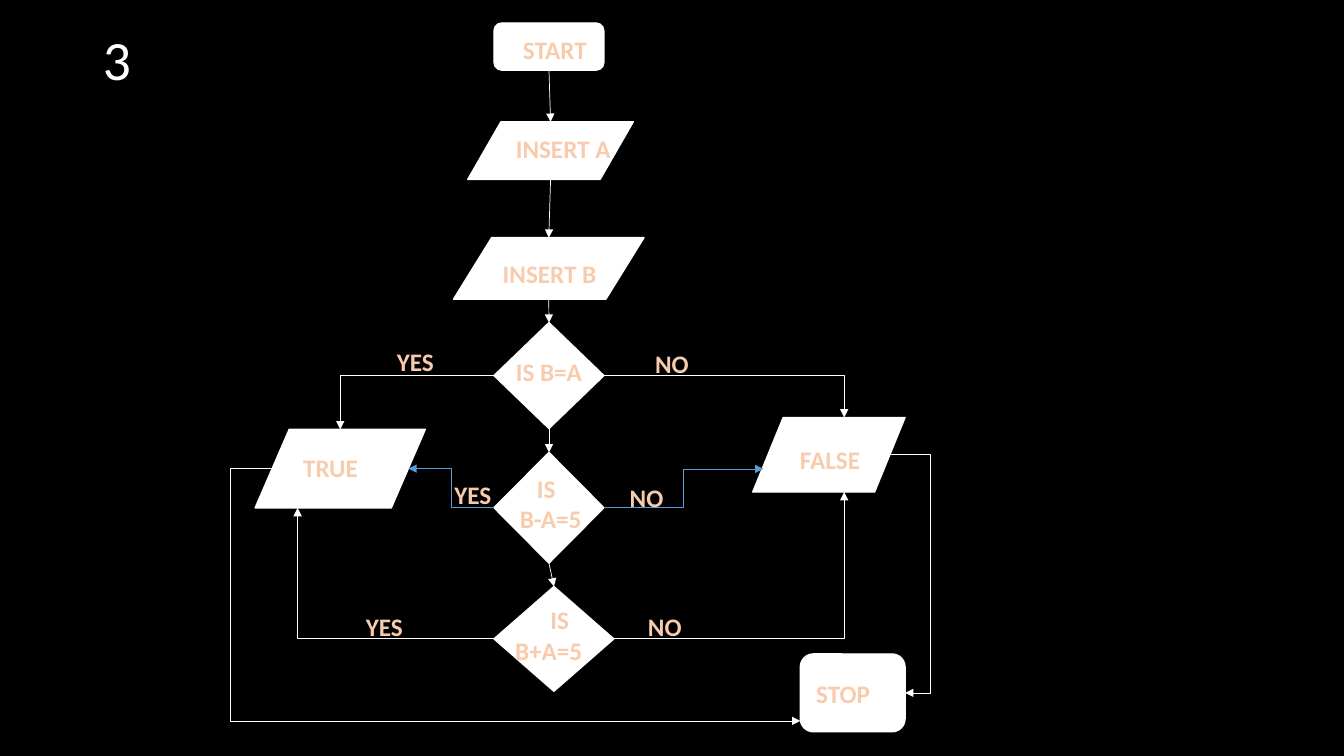
import pptx
import pptx.util
import pptx.dml.color
import pptx.enum.shapes
import pptx.enum.text
import pptx.oxml
import pptx.oxml.ns

Cm, Pt = pptx.util.Cm, pptx.util.Pt
RGBColor = pptx.dml.color.RGBColor
Shape = pptx.enum.shapes.MSO_SHAPE
Connector = pptx.enum.shapes.MSO_CONNECTOR
qn = pptx.oxml.ns.qn

BLACK = RGBColor(0x00, 0x00, 0x00)
WHITE = RGBColor(0xFF, 0xFF, 0xFF)
PEACH = RGBColor(0xF8, 0xCB, 0xAD)
ORANGE = RGBColor(0xED, 0x7D, 0x31)
BLUE = RGBColor(0x5B, 0x9B, 0xD5)
FONT = "Calibri"
DRAWING = "http://schemas.openxmlformats.org/drawingml/2006/main"

# Flowchart steps: preset, then left, top, width, height in cm
DATA, DECISION = Shape.FLOWCHART_DATA, Shape.FLOWCHART_DECISION
STEPS = {
    "start": (Shape.ROUNDED_RECTANGLE, 12.45, 0.58, 2.77, 1.19),
    "insert a": (DATA, 11.79, 3.07, 4.17, 1.45),
    "insert b": (DATA, 11.43, 5.99, 4.8, 1.55),
    "equal": (DECISION, 12.45, 8.13, 2.77, 2.67),
    "difference": (DECISION, 12.45, 11.4, 2.77, 2.79),
    "sum": (DECISION, 12.45, 14.78, 3.02, 2.64),
    "stop": (Shape.FLOWCHART_ALTERNATE_PROCESS, 20.17, 16.48, 2.64, 1.96),
    "true": (DATA, 6.43, 10.82, 4.29, 1.98),
    "false": (DATA, 18.97, 10.52, 3.84, 1.88),
}

# Main path, each step leading straight down to the next
MAIN_PATH = ["start", "insert a", "insert b", "equal", "difference", "sum"]

# Branches: step and point on it (fractions of width and height) at both ends,
# preset, position of the bend, colour
LEFT, RIGHT = (0, 0.5), (1, 0.5)
BRANCHES = [
    ("equal", LEFT, "true", (0.5, 0), "bentConnector2", None, WHITE),
    ("equal", RIGHT, "false", (0.6, 0), "bentConnector2", None, WHITE),
    ("sum", LEFT, "true", (0.25, 1), "bentConnector3", 1, WHITE),
    ("sum", RIGHT, "false", (0.6, 1), "bentConnector3", 1, WHITE),
    ("true", (0.1, 0.5), "stop", (0, 0.86), "bentConnector3", -0.08, WHITE),
    ("false", (0.9, 0.5), "stop", RIGHT, "bentConnector3", 2.65, WHITE),
    ("difference", RIGHT, "false", (0.07, 0.69), "bentConnector3", 0.5, BLUE),
    ("difference", LEFT, "true", (0.9, 0.5), "bentConnector3", 0.5, BLUE),
]

# Labels: lines, left, top, width in cm, indent of the first line
LABELS = [
    (["START"], 12.93, 0.74, 2.13, 0),
    (["STOP"], 20.32, 16.97, 1.88, 0),
    (["INSERT A"], 12.75, 3.23, 2.92, 0),
    (["INSERT B"], 12.42, 6.38, 2.9, 0),
    (["TRUE"], 7.39, 11.28, 1.93, 0),
    (["FALSE"], 19.91, 11.07, 2.03, 0),
    (["IS B=A"], 12.75, 8.86, 2.21, 0),
    (["IS", "B-A=5"], 12.85, 11.79, 2.11, 0.43),
    (["IS", "B+A=5"], 12.73, 15.11, 2.59, 0.89),
    (["NO"], 16.26, 8.66, 1.37, 0),
    (["NO"], 15.62, 12.04, 1.37, 0),
    (["NO"], 16.08, 15.27, 1.37, 0),
    (["YES"], 9.75, 8.61, 1.45, 0),
    (["YES"], 11.2, 11.96, 1.45, 0),
    (["YES"], 8.97, 15.27, 1.45, 0),
]
LINE_HEIGHT, LABEL_PADDING = 0.77, 0.25


def point_on(step, fractions):
    left, top, width, height = STEPS[step][1:]
    return Cm(left + fractions[0] * width), Cm(top + fractions[1] * height)


def add_arrow(start, end, colour, preset="line", bend=None):
    kind = Connector.STRAIGHT if preset == "line" else Connector.ELBOW
    arrow = slide.shapes.add_connector(kind, *start, *end)
    arrow.line.color.rgb = colour
    arrow.line.width = Pt(0.5)
    properties = arrow._element.spPr
    geometry = properties.find(qn("a:prstGeom"))
    geometry.set("prst", preset)
    if bend is not None:
        geometry.get_or_add_avLst().append(pptx.oxml.parse_xml(
            f'<a:gd xmlns:a="{DRAWING}" name="adj1" fmla="val {round(bend * 100000)}"/>'))
    properties.find(qn("a:ln")).append(pptx.oxml.parse_xml(
        f'<a:tailEnd xmlns:a="{DRAWING}" type="triangle"/>'))
    properties.append(pptx.oxml.parse_xml(f'<a:effectLst xmlns:a="{DRAWING}"/>'))


def add_label(lines, left, top, width, indent):
    height = LINE_HEIGHT * len(lines) + LABEL_PADDING
    frame = slide.shapes.add_textbox(Cm(left), Cm(top), Cm(width), Cm(height)).text_frame
    frame.word_wrap = False
    frame.auto_size = pptx.enum.text.MSO_AUTO_SIZE.SHAPE_TO_FIT_TEXT
    frame.text = "\n".join(lines)
    for paragraph in frame.paragraphs:
        paragraph.font.name = FONT
        paragraph.font.size = Pt(18)
        paragraph.font.bold = True
        paragraph.font.color.rgb = PEACH
        # Letter outline
        paragraph.runs[0]._r.get_or_add_rPr().insert(0, pptx.oxml.parse_xml(
            f'<a:ln xmlns:a="{DRAWING}" w="{Pt(1.75)}"><a:solidFill>'
            f'<a:srgbClr val="{ORANGE}"/></a:solidFill></a:ln>'))
    if indent:
        frame.paragraphs[0]._p.get_or_add_pPr().set("indent", str(Cm(indent)))


# Slide
presentation = pptx.Presentation()
presentation.slide_width, presentation.slide_height = Cm(33.87), Cm(19.05)
slide = presentation.slides.add_slide(presentation.slide_layouts[5])
slide.background.fill.solid()
slide.background.fill.fore_color.rgb = BLACK

# Title
title = slide.shapes.title
title.left, title.top, title.width, title.height = Cm(2.34), Cm(1.02), Cm(29.21), Cm(1.12)
title.text_frame.text = "3"
title.text_frame.auto_size = pptx.enum.text.MSO_AUTO_SIZE.NONE
title.text_frame.vertical_anchor = pptx.enum.text.MSO_ANCHOR.MIDDLE
number = title.text_frame.paragraphs[0]
number.alignment = pptx.enum.text.PP_ALIGN.LEFT
number.line_spacing = 0.9
number.font.name = FONT
number.font.size = Pt(39.6)
number.font.color.rgb = WHITE

# Steps
for preset, *box in STEPS.values():
    step = slide.shapes.add_shape(preset, *map(Cm, box))
    step.shadow.inherit = False
    step.fill.solid()
    step.fill.fore_color.rgb = WHITE
    step.line.color.rgb = WHITE
    step.line.width = Pt(1)

# Arrows
for upper, lower in zip(MAIN_PATH, MAIN_PATH[1:]):
    add_arrow(point_on(upper, (0.5, 1)), point_on(lower, (0.5, 0)), WHITE)
for source, exit_point, target, entry_point, preset, bend, colour in BRANCHES:
    add_arrow(point_on(source, exit_point), point_on(target, entry_point), colour, preset, bend)

# Labels
for label in LABELS:
    add_label(*label)

presentation.save("out.pptx")
